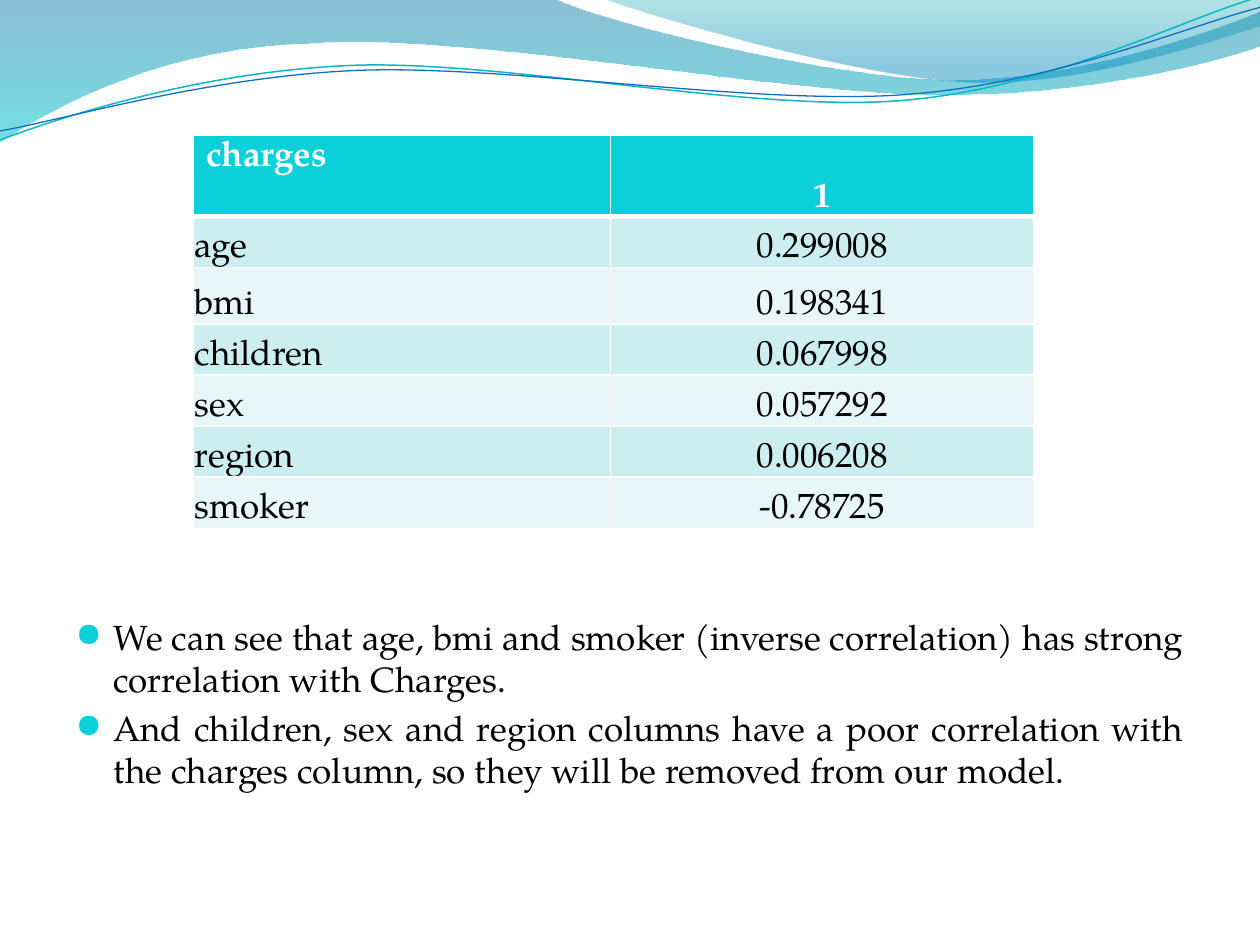
"""Build a slide with a table of correlations with charges and two conclusions."""
import math

from lxml import etree
from pptx import Presentation, util as u
from pptx.dml.color import RGBColor
from pptx.enum import text
from pptx.oxml.ns import qn

THEME = {
    "font": "TeX Gyre Pagella", "bullet_font": "OpenSymbol", "size": u.Pt(20),
    "accent": "0BD0D9", "ink": "000000", "paper": "FFFFFF",
    "bands": ("CCEEF1", "E7F7F8"),
}

ROWS = [
    ("charges", "1"),
    ("age", "0.299008"),
    ("bmi", "0.198341"),
    ("children", "0.067998"),
    ("sex", "0.057292"),
    ("region", "0.006208"),
    ("smoker", "-0.78725"),
]
COLUMN_WIDTHS = (8.41, 8.53)
ROW_HEIGHT = 1.03
SPECIAL_HEIGHTS = {"charges": 1.64, "bmi": 1.14}

CONCLUSIONS = [
    "We can see that age, bmi and smoker (inverse correlation) has strong "
    "correlation with Charges.",
    "And children, sex and region columns have a poor correlation with the "
    "charges column, so they will be removed from our model.",
]

BANDS = [
    {
        "start": (0, 0),
        "segments": [
            [(11.18, -0.03)],
            [(12.09, 0.43), (16.87, 1.6), (19.25, 1.6)],
            [(21.67, 1.6), (24.33, 0.66), (25.4, 0.23)],
            [(25.43, 0.91)],
            [(24.97, 1.12), (22.1, 1.93), (18.95, 1.91)],
            [(15.8, 1.91), (9.7, 0.71), (6.53, 0.86)],
            [(3.28, 0.91), (1.17, 2.11), (-0.03, 2.87)],
        ],
        "stops": [(0, "0074A1", 45), (1, "00C6CF", 55)],
    },
    {
        "start": (12.17, -0.03),
        "segments": [
            [(12.93, 0.28), (17.32, 1.57), (19.53, 1.65)],
            [(21.74, 1.75), (24.41, 0.81), (25.4, 0.53)],
            [(25.4, 0)],
        ],
        "stops": [(0, "00A1A9", 30), (0.8, "008BBF", 45)],
    },
]
STRAND_TURN = -2.7
STRANDS = [
    {
        "start": (0, 2.82),
        "segments": [
            [(1.22, 2.36), (4.01, 1.45), (7.04, 1.32)],
            [(10.03, 1.19), (15.06, 2.26), (18.11, 2.03)],
            [(21.16, 1.8), (23.83, 0.38), (25.35, -0.05)],
        ],
        "center": (12.67, 1.46), "color": "0AB8BF", "width": 0.85,
    },
    {
        "start": (0, 2.64),
        "segments": [
            [(1.19, 2.44), (4.17, 1.55), (7.19, 1.42)],
            [(10.24, 1.3), (15.16, 2.13), (18.21, 1.91)],
            [(21.23, 1.7), (23.9, 0.53), (25.4, 0.15)],
        ],
        "center": (12.69, 1.5), "color": "0F6FC6", "width": 0.75,
    },
]


def rgb(color):
    return RGBColor.from_string(color)


def add_xml(parent, tag, **attributes):
    return etree.SubElement(parent, qn(tag), attributes)


def turn(point, center, degrees):
    angle = math.radians(degrees)
    x, y = point[0] - center[0], point[1] - center[1]
    return (center[0] + x * math.cos(angle) - y * math.sin(angle),
            center[1] + x * math.sin(angle) + y * math.cos(angle))


def add_wave(slide, start, segments, close):
    ends = [(u.Cm(x), u.Cm(y)) for x, y in (segment[-1] for segment in segments)]
    builder = slide.shapes.build_freeform(u.Cm(start[0]), u.Cm(start[1]))
    builder.add_line_segments(ends, close=close)
    shape = builder.convert_to_shape()
    shape.shadow.inherit = False
    lines = list(shape.element.spPr.iter(qn("a:lnTo")))
    for line, segment in zip(lines, segments):
        if len(segment) == 3:
            curve = etree.Element(qn("a:cubicBezTo"))
            for x, y in segment:
                add_xml(curve, "a:pt", x=str(u.Cm(x) - shape.left),
                        y=str(u.Cm(y) - shape.top))
            line.getparent().replace(line, curve)
    return shape


def add_band(slide, band):
    shape = add_wave(slide, band["start"], band["segments"], True)
    shape.line.fill.background()
    shape.fill.gradient()
    shape.fill.gradient_angle = 270
    for stop, (position, color, _) in zip(shape.fill.gradient_stops, band["stops"]):
        stop.position = position
        stop.color.rgb = rgb(color)
    colors = shape.element.spPr.iter(qn("a:srgbClr"))
    for element, (_, _, opacity) in zip(colors, band["stops"]):
        add_xml(element, "a:alpha", val=str(opacity * 1000))


def add_strand(slide, strand):
    def level(point):
        return turn(point, strand["center"], -STRAND_TURN)

    segments = [[level(point) for point in segment] for segment in strand["segments"]]
    shape = add_wave(slide, level(strand["start"]), segments, False)
    shape.rotation = STRAND_TURN
    shape.fill.background()
    shape.line.color.rgb = rgb(strand["color"])
    shape.line.width = u.Pt(strand["width"])


def add_run(paragraph, words, color, bold=False):
    run = paragraph.add_run()
    run.text = words
    run.font.name, run.font.size = THEME["font"], THEME["size"]
    run.font.bold = bold
    run.font.color.rgb = rgb(color)


def set_borders(cell, widths):
    properties = cell._tc.get_or_add_tcPr()
    for index, (side, width) in enumerate(widths.items()):
        line = etree.Element(qn(f"a:ln{side}"), w=str(u.Pt(width)))
        add_xml(add_xml(line, "a:solidFill"), "a:srgbClr", val=THEME["paper"])
        properties.insert(index, line)


def add_correlations(slide):
    heights = [SPECIAL_HEIGHTS.get(name, ROW_HEIGHT) for name, _ in ROWS]
    table = slide.shapes.add_table(
        len(ROWS), len(COLUMN_WIDTHS), u.Cm(3.9), u.Cm(2.72),
        u.Cm(sum(COLUMN_WIDTHS)), u.Cm(sum(heights))).table
    for column, width in zip(table.columns, COLUMN_WIDTHS):
        column.width = u.Cm(width)
    for i, (values, height) in enumerate(zip(ROWS, heights)):
        table.rows[i].height = u.Cm(height)
        header = i == 0
        for j, value in enumerate(values):
            cell = table.cell(i, j)
            cell.fill.solid()
            cell.fill.fore_color.rgb = rgb(
                THEME["accent"] if header else THEME["bands"][(i - 1) % 2])
            if not (header and j == 0):
                cell.vertical_anchor = text.MSO_ANCHOR.BOTTOM
                cell.margin_left = cell.margin_right = cell.margin_top = u.Cm(0.02)
                cell.margin_bottom = 0
            paragraph = cell.text_frame.paragraphs[0]
            paragraph.alignment = text.PP_ALIGN.CENTER if j else text.PP_ALIGN.LEFT
            add_run(paragraph, value, THEME["paper" if header else "ink"], header)
            set_borders(cell, {"L": 1, "R": 1, "T": 3 if i == 1 else 1,
                               "B": 3 if header else 1})


def fill_conclusions(body):
    body.left, body.top = u.Cm(1.27), u.Cm(5.38)
    body.width, body.height = u.Cm(22.86), u.Cm(12.19)
    frame = body.text_frame
    frame.word_wrap = True
    frame.auto_size = text.MSO_AUTO_SIZE.NONE
    frame.vertical_anchor = text.MSO_ANCHOR.TOP
    frame.margin_top = u.Cm(7.03)
    for i, words in enumerate(CONCLUSIONS):
        paragraph = frame.add_paragraph() if i else frame.paragraphs[0]
        paragraph.alignment = text.PP_ALIGN.JUSTIFY
        paragraph.space_before = u.Pt(4)
        properties = paragraph._p.get_or_add_pPr()
        properties.set("marL", str(u.Cm(0.76)))
        properties.set("indent", str(u.Cm(-0.76)))
        add_xml(add_xml(properties, "a:buClr"), "a:srgbClr", val=THEME["accent"])
        add_xml(properties, "a:buSzPct", val="95000")
        add_xml(properties, "a:buFont", typeface=THEME["bullet_font"])
        add_xml(properties, "a:buChar", char="●")
        add_run(paragraph, words, THEME["ink"])


def main():
    presentation = Presentation()
    presentation.slide_width, presentation.slide_height = u.Cm(25.4), u.Cm(19.05)
    slide = presentation.slides.add_slide(presentation.slide_layouts[1])
    title = slide.shapes.title.element
    title.getparent().remove(title)
    for band in BANDS:
        add_band(slide, band)
    for strand in STRANDS:
        add_strand(slide, strand)
    fill_conclusions(slide.placeholders[1])
    add_correlations(slide)
    presentation.save("out.pptx")


if __name__ == "__main__":
    main()
